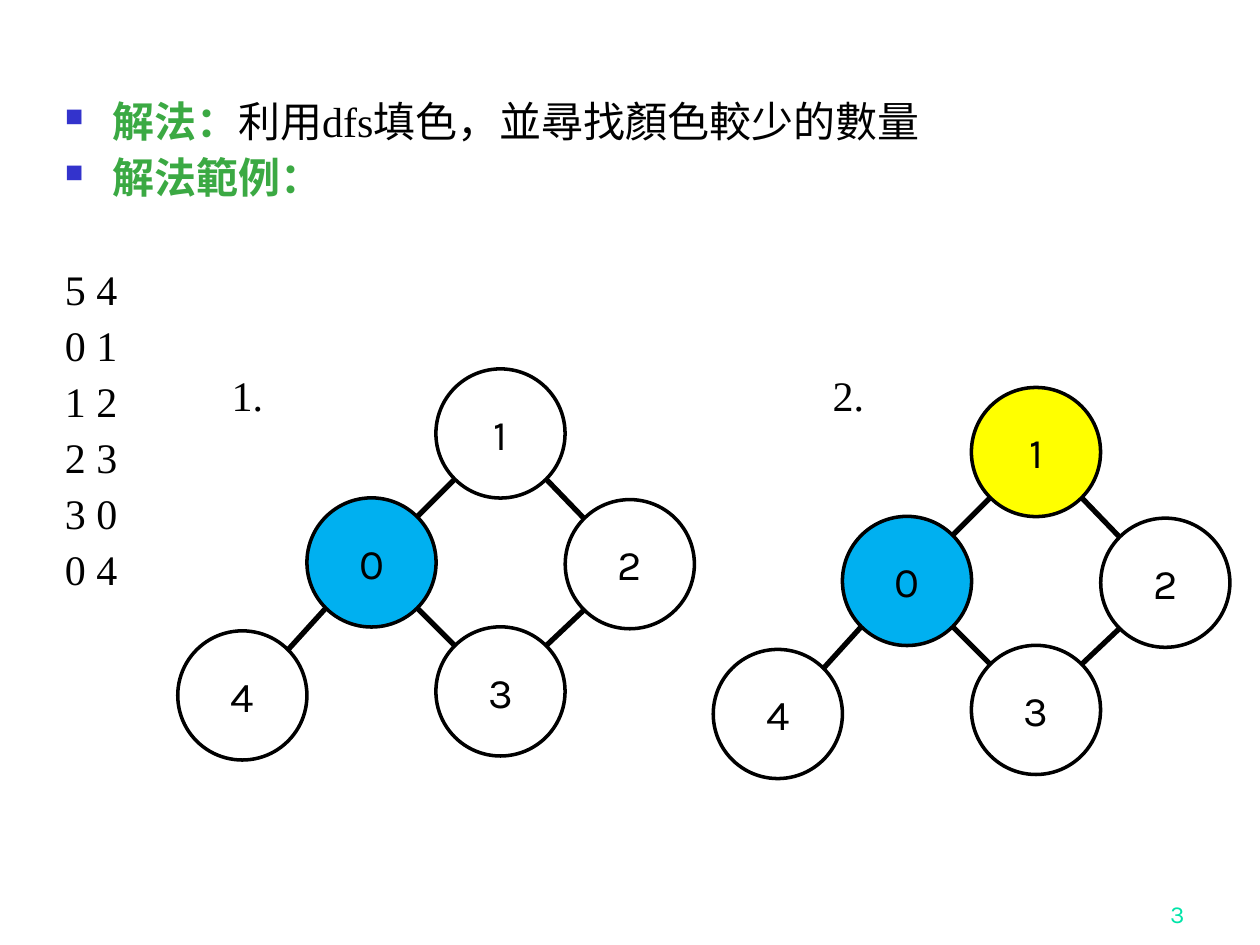
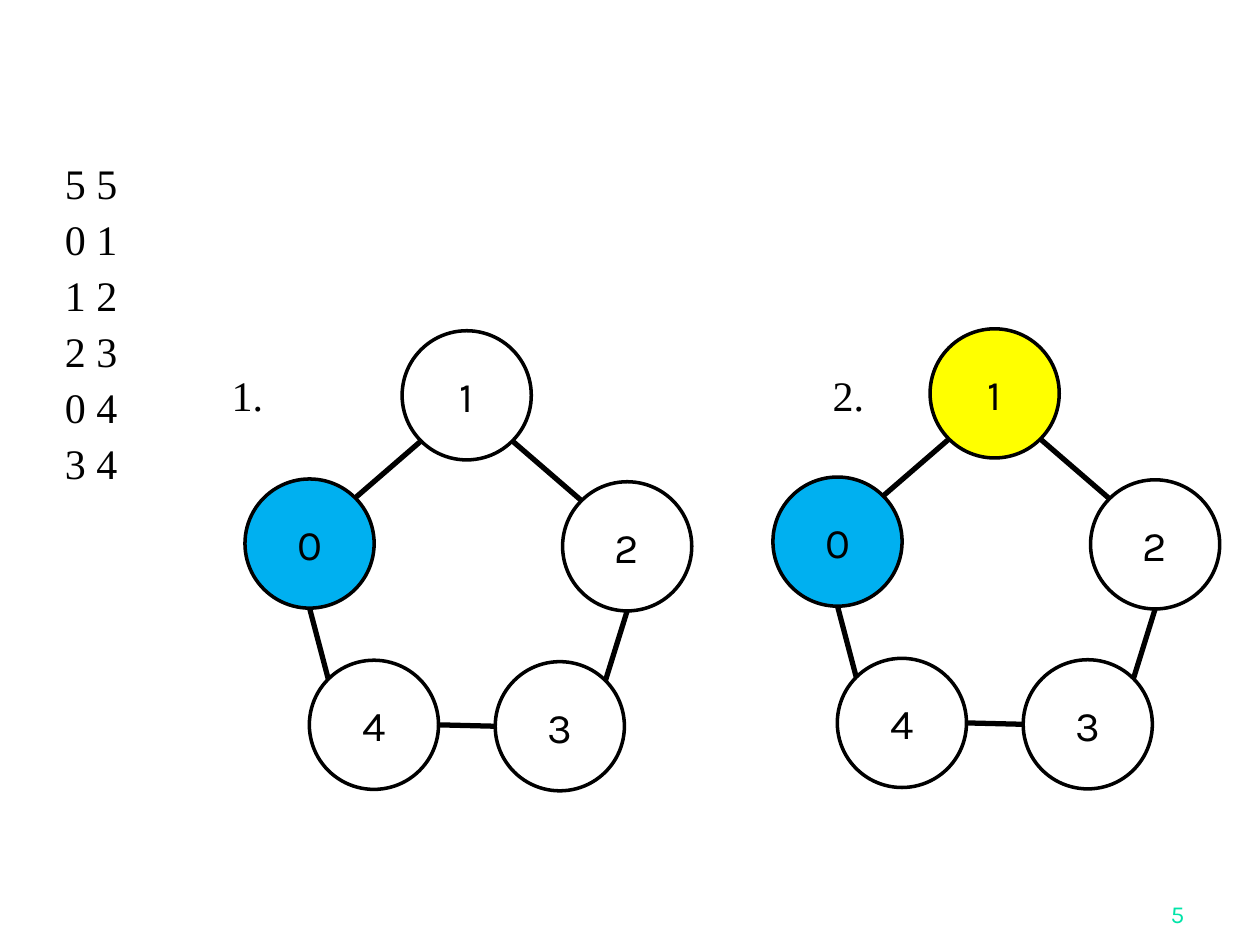
import math

from lxml import etree
from pptx import Presentation
from pptx.dml.color import RGBColor
from pptx.enum import shapes, text
from pptx.oxml import ns
from pptx.util import Pt

BLACK = RGBColor(0, 0, 0)
WHITE = RGBColor(255, 255, 255)
GREEN = RGBColor(0x3B, 0xA9, 0x43)
MINT = RGBColor(0x00, 0xE4, 0xA8)
BLUE = RGBColor(0x00, 0xB0, 0xF0)
YELLOW = RGBColor(255, 255, 0)
BULLET_COLOR = "3333CC"
SERIF, SANS = "Times New Roman", "Karla"

# Node offsets are measured from node 0, whose centre differs in each step.
# Edges: first node, second node, side it leaves, side it reaches.
EXAMPLES = [
    {
        "number": "3",
        "notes": [
            [("解法：", GREEN, True), ("利用dfs填色，並尋找顏色較少的數量", BLACK, False)],
            [("解法範例：", GREEN, True)],
        ],
        "counts": "5 4",
        "input_top": 150,
        "edges": [(0, 1, "NE", "SW"), (1, 2, "SE", "NW"), (2, 3, "SW", "NE"),
                  (3, 0, "NW", "SE"), (0, 4, "SW", "NE")],
        "offsets": [(0, 0), (73.7, -73.7), (147.6, 1), (73.7, 73.7), (-73.8, 76)],
        "centres": [(212.3, 321.4), (518.3, 332)],
    },
    {
        "number": "5",
        "notes": [],
        "counts": "5 5",
        "input_top": 89.5,
        "edges": [(0, 1, "NE", "SW"), (1, 2, "SE", "NW"), (2, 3, "S", "NE"),
                  (0, 4, "S", "NW"), (3, 4, "W", "E")],
        "offsets": [(0, 0), (89.8, -84.7), (181.5, 1.6), (143, 104.4), (36.8, 103.6)],
        "centres": [(176.9, 310.6), (478.6, 309.5)],
    },
]
# The second input lists its edges in this order.
STEPS = [("1.", 125.3, {0: BLUE}), ("2.", 468.7, {0: BLUE, 1: YELLOW})]
SIDES = ["E", "SE", "S", "SW", "W", "NW", "N", "NE"]
DIAMETER = 73.8


def add_bullet(paragraph):
    props = paragraph._p.get_or_add_pPr()
    props.set("marL", str(Pt(27)))
    props.set("indent", str(-Pt(27)))
    color = etree.SubElement(props, ns.qn("a:buClr"))
    etree.SubElement(color, ns.qn("a:srgbClr"), val=BULLET_COLOR)
    etree.SubElement(props, ns.qn("a:buSzPct"), val="60000")
    etree.SubElement(props, ns.qn("a:buChar"), char="■")


def write(frame, paragraphs, font=SERIF, size=24, color=BLACK, wrap=True,
          align=text.PP_ALIGN.LEFT, anchor=text.MSO_ANCHOR.TOP,
          spacing=None, bullet=False):
    """Fill a frame; a paragraph is a string or a list of (text, color, bold)."""
    frame.word_wrap = wrap
    frame.vertical_anchor = anchor
    for i, content in enumerate(paragraphs):
        paragraph = frame.add_paragraph() if i else frame.paragraphs[0]
        if bullet:
            add_bullet(paragraph)
        paragraph.alignment = align
        if spacing:
            paragraph.line_spacing = Pt(spacing)
            paragraph.space_before = Pt(6 if i else 0)
        runs = [(content, color, False)] if isinstance(content, str) else content
        for words, run_color, bold in runs:
            run = paragraph.add_run()
            run.text = words
            run.font.name = font
            run.font.size = Pt(size)
            run.font.bold = bold
            run.font.color.rgb = run_color


def add_text(slide, box, paragraphs, **style):
    write(slide.shapes.add_textbox(*map(Pt, box)).text_frame, paragraphs, **style)


def side_point(centre, side):
    angle = math.radians(45 * SIDES.index(side))
    return (Pt(centre[0] + DIAMETER / 2 * math.cos(angle)),
            Pt(centre[1] + DIAMETER / 2 * math.sin(angle)))


def add_edge(slide, start, end):
    edge = slide.shapes.add_connector(shapes.MSO_CONNECTOR.STRAIGHT, *start, *end)
    edge.line.color.rgb = BLACK
    edge.line.width = Pt(3)
    etree.SubElement(edge._element.spPr, ns.qn("a:effectLst"))


def add_node(slide, centre, label, fill):
    left, top = (Pt(c - DIAMETER / 2) for c in centre)
    node = slide.shapes.add_shape(shapes.MSO_SHAPE.OVAL, left, top,
                                  Pt(DIAMETER), Pt(DIAMETER))
    node.shadow.inherit = False
    node.fill.solid()
    node.fill.fore_color.rgb = fill
    node.line.color.rgb = BLACK
    node.line.width = Pt(2)
    write(node.text_frame, [label], font=SANS, wrap=False,
          align=text.PP_ALIGN.CENTER, anchor=text.MSO_ANCHOR.MIDDLE)


def add_graph(slide, example, origin, colored):
    centres = [(origin[0] + dx, origin[1] + dy) for dx, dy in example["offsets"]]
    for a, b, leave, reach in example["edges"]:
        add_edge(slide, side_point(centres[a], leave), side_point(centres[b], reach))
    for i, centre in enumerate(centres):
        add_node(slide, centre, str(i), colored.get(i, WHITE))


def add_example(deck, example):
    slide = deck.slides.add_slide(deck.slide_layouts[6])
    add_text(slide, (534, 498, 150, 36), [example["number"]], font=SANS, size=14,
             color=MINT, align=text.PP_ALIGN.RIGHT, anchor=text.MSO_ANCHOR.BOTTOM)
    if example["notes"]:
        add_text(slide, (30, 54, 636, 72), example["notes"], spacing=26, bullet=True)
    pairs = [f"{a} {b}" for a, b, *_ in example["edges"]]
    add_text(slide, (30, example["input_top"], 80, 195),
             [example["counts"], *pairs], spacing=26)
    for (label, left, colored), origin in zip(STEPS, example["centres"]):
        add_graph(slide, example, origin, colored)
        add_text(slide, (left, 207.4, 73.5, 36), [label])


def main():
    deck = Presentation()
    deck.slide_width, deck.slide_height = Pt(720), Pt(540)
    for example in EXAMPLES:
        add_example(deck, example)
    deck.save("out.pptx")


if __name__ == "__main__":
    main()
